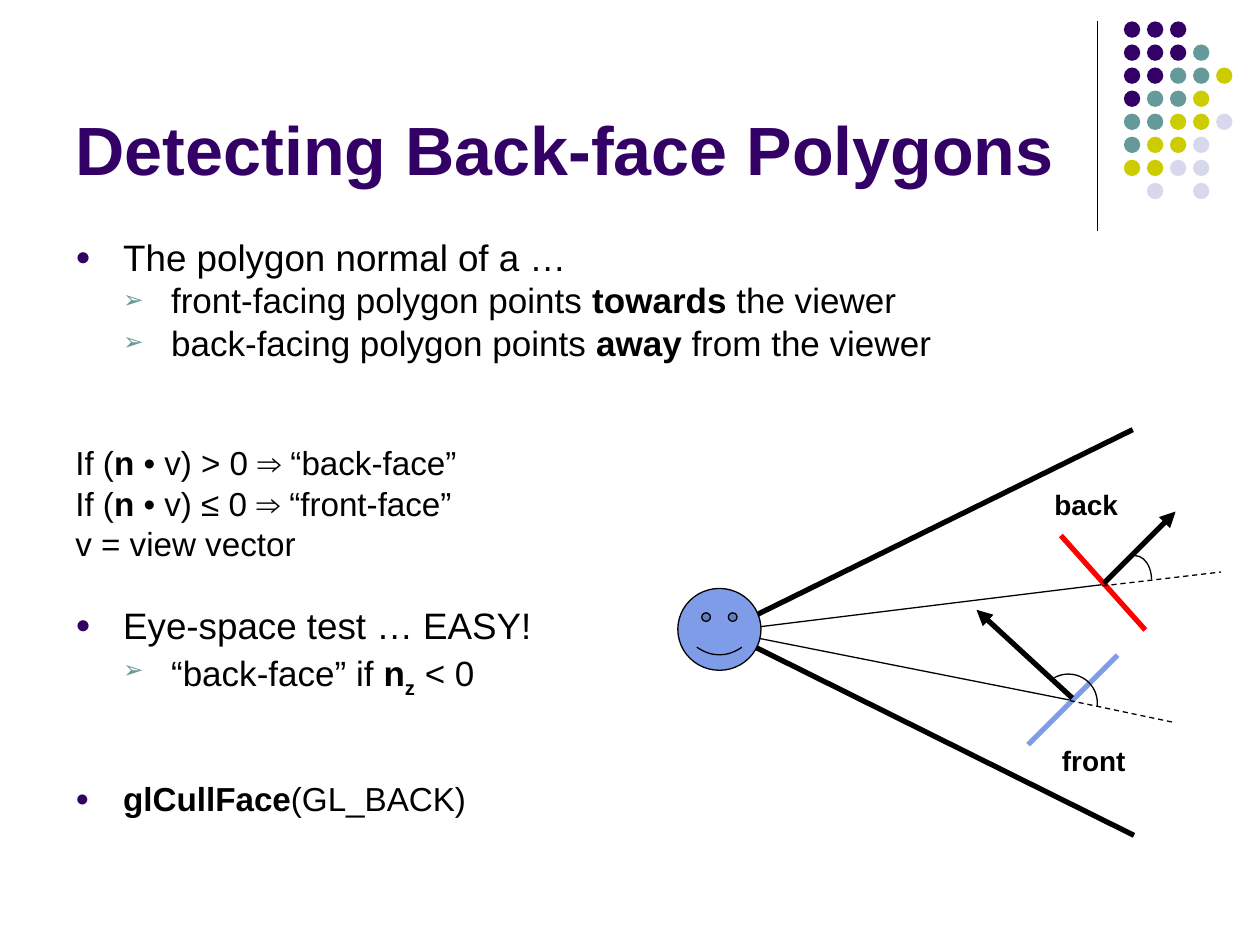
from lxml.etree import SubElement
from pptx import Presentation
from pptx.dml.color import RGBColor
from pptx.enum.dml import MSO_LINE
from pptx.enum.shapes import MSO_CONNECTOR, MSO_SHAPE
from pptx.enum.text import MSO_ANCHOR, MSO_AUTO_SIZE, PP_ALIGN
from pptx.oxml.ns import qn
from pptx.util import Inches, Pt

FONT = "Arial"
BLACK, PURPLE, TEAL, BLUE, RED = "000000", "330066", "669999", "7E9CE8", "FF0000"
TITLE = "Detecting Back-face Polygons"

# Dot pattern: one letter per dot, a space where there is none
DOT_COLORS = {"P": PURPLE, "T": TEAL, "Y": "CCCC00", "L": "D8D8EC"}
DOT_ROWS = ["PPP", "PPPT", "PPTTY", "PTTY", "TTYYL", "TYYL", "YYLL", " L L"]
DOT_LEFT, DOT_TOP, DOT_PITCH, DOT_SIZE = 8.92, 0.17, 0.183, 0.13

# Paragraph styles: left indent, first-line indent, bullet, bullet colour
STYLES = {
    "point": (0.38, -0.38, "●", PURPLE),
    "detail": (0.76, -0.38, "➢", TEAL),
    "plain": (0.38, -0.38, None, None),
}
# Style, text size, space before, runs (text, look)
BODY = [
    ("point", 21, 0, [("The polygon normal of a …", "")]),
    ("detail", 20, 5, [("front-facing polygon points ", ""), ("towards", "bold"), (" the viewer", "")]),
    ("detail", 20, 5, [("back-facing polygon points ", ""), ("away", "bold"), (" from the viewer", "")]),
    ("plain", 19, 49.8, [("If (", ""), ("n ", "bold"), ("• v) > 0 ⇒ “back-face”", "")]),
    ("plain", 19, 4.8, [("If (", ""), ("n ", "bold"), ("• v) ≤ 0 ⇒ “front-face”", "")]),
    ("plain", 19, 4.8, [("v = view vector", "")]),
    ("point", 21, 28, [("Eye-space test … EASY!", "")]),
    ("detail", 20, 5, [("“back-face” if ", ""), ("n", "bold"), ("z", "bold subscript"), (" < 0", "")]),
    ("point", 19, 52.8, [("glCullFace", "bold"), ("(GL_BACK)", "")]),
]

# Lines: start, end, colour, width, ending
EYE = (5.74, 5.01)
DIVIDER = ((8.71, 0.17), (8.71, 1.83), BLACK, 0.75, "")
VIEW_LINES = [
    (EYE, (8.75, 4.64), BLACK, 0.75, ""),
    (EYE, (8.51, 5.56), BLACK, 0.75, ""),
    (EYE, (9, 6.63), BLACK, 3, ""),
    (EYE, (8.99, 3.41), BLACK, 3, ""),
]
POLYGON_LINES = [
    ((8.16, 5.91), (8.87, 5.2), BLUE, 3, ""),
    ((8.42, 4.25), (9.09, 5), RED, 3, ""),
    ((8.51, 5.54), (7.75, 4.84), BLACK, 3, "arrow"),
    ((8.76, 4.63), (9.33, 4.06), BLACK, 3, "arrow"),
    ((8.75, 4.65), (9.69, 4.54), BLACK, 0.75, "dash"),
    ((8.49, 5.56), (9.3, 5.73), BLACK, 0.75, "dash"),
]
# Angle marks: centre, radii, start and end in degrees
ANGLES = [((8.48, 5.58), (0.23, 0.23), 241, 7), ((9.01, 4.6), (0.13, 0.19), 270, 0)]
LABELS = [("back", 8.27, 3.82), ("front", 8.33, 5.85)]
LABEL_SIZE = (0.8, 0.37)


def color(value):
    return RGBColor.from_string(value)


def add_run(paragraph, text, size, look="", fill=BLACK):
    run = paragraph.add_run()
    run.text = text
    font = run.font
    font.name, font.size, font.bold = FONT, Pt(size), "bold" in look
    font.color.rgb = color(fill)
    if "subscript" in look:
        font._element.set("baseline", "-25000")


def add_line(slide, start, end, fill, width, ending):
    line = slide.shapes.add_connector(
        MSO_CONNECTOR.STRAIGHT, *(Inches(value) for value in start + end))
    line.line.color.rgb = color(fill)
    line.line.width = Pt(width)
    if ending == "dash":
        line.line.dash_style = MSO_LINE.DASH
    if ending == "arrow":
        SubElement(line.line._get_or_add_ln(), qn("a:tailEnd"), type="triangle")
    SubElement(line._element.spPr, qn("a:effectLst"))


def add_shape(slide, kind, box, fill=None, outline=None):
    shape = slide.shapes.add_shape(kind, *(Inches(value) for value in box))
    shape.shadow.inherit = False
    if fill:
        shape.fill.solid()
        shape.fill.fore_color.rgb = color(fill)
    else:
        shape.fill.background()
    if outline:
        shape.line.color.rgb = color(outline)
        shape.line.width = Pt(0.75)
    else:
        shape.line.fill.background()
    return shape


def add_textbox(slide, *box):
    return slide.shapes.add_textbox(*(Inches(value) for value in box)).text_frame


def format_paragraph(paragraph, style, space_before):
    left, first, bullet, bullet_color = STYLES[style]
    properties = paragraph._p.get_or_add_pPr()
    properties.set("marL", str(Inches(left)))
    properties.set("indent", str(Inches(first)))
    if bullet:
        SubElement(SubElement(properties, qn("a:buClr")), qn("a:srgbClr"), val=bullet_color)
        SubElement(properties, qn("a:buSzPct"), val="70000")
        SubElement(properties, qn("a:buFont"), typeface=FONT)
        SubElement(properties, qn("a:buChar"), char=bullet)
    paragraph.line_spacing = 0.8
    paragraph.space_before = Pt(space_before)


presentation = Presentation()
presentation.slide_width, presentation.slide_height = Inches(10), Inches(7.5)
slide = presentation.slides.add_slide(presentation.slide_layouts[5])

# Title
title = slide.shapes.title
title.left, title.top, title.width, title.height = (
    Inches(value) for value in (0.5, 0.13, 8.25, 1.42))
title.text_frame.vertical_anchor = MSO_ANCHOR.BOTTOM
title.text_frame.auto_size = MSO_AUTO_SIZE.NONE
title.text_frame.paragraphs[0].alignment = PP_ALIGN.LEFT
add_run(title.text_frame.paragraphs[0], TITLE, 39, "bold", PURPLE)

# Corner decoration
add_line(slide, *DIVIDER)
for row, dots in enumerate(DOT_ROWS):
    for column, dot in enumerate(dots):
        if dot in DOT_COLORS:
            box = (DOT_LEFT + column * DOT_PITCH, DOT_TOP + row * DOT_PITCH, DOT_SIZE, DOT_SIZE)
            add_shape(slide, MSO_SHAPE.OVAL, box, DOT_COLORS[dot])

# Body text
body = add_textbox(slide, 0.5, 1.88, 9, 4.82)
body.word_wrap = True
for index, (style, size, space_before, runs) in enumerate(BODY):
    paragraph = body.add_paragraph() if index else body.paragraphs[0]
    format_paragraph(paragraph, style, space_before)
    for text, look in runs:
        add_run(paragraph, text, size, look)

# Viewer with lines of sight, then polygons with normals
for line in VIEW_LINES:
    add_line(slide, *line)
add_shape(slide, MSO_SHAPE.SMILEY_FACE, (5.38, 4.67, 0.66, 0.65), BLUE, BLACK)
for line in POLYGON_LINES:
    add_line(slide, *line)

# Angle marks; arc adjustments count 0.6 per degree
for (x, y), (radius_x, radius_y), start, end in ANGLES:
    box = (x - radius_x, y - radius_y, 2 * radius_x, 2 * radius_y)
    arc = add_shape(slide, MSO_SHAPE.ARC, box, outline=BLACK)
    arc.adjustments[0], arc.adjustments[1] = start * 0.6, end * 0.6

# Polygon labels
for text, left, top in LABELS:
    label = add_textbox(slide, left, top, *LABEL_SIZE)
    label.word_wrap = True
    add_run(label.paragraphs[0], text, 16, "bold")

presentation.save("out.pptx")
